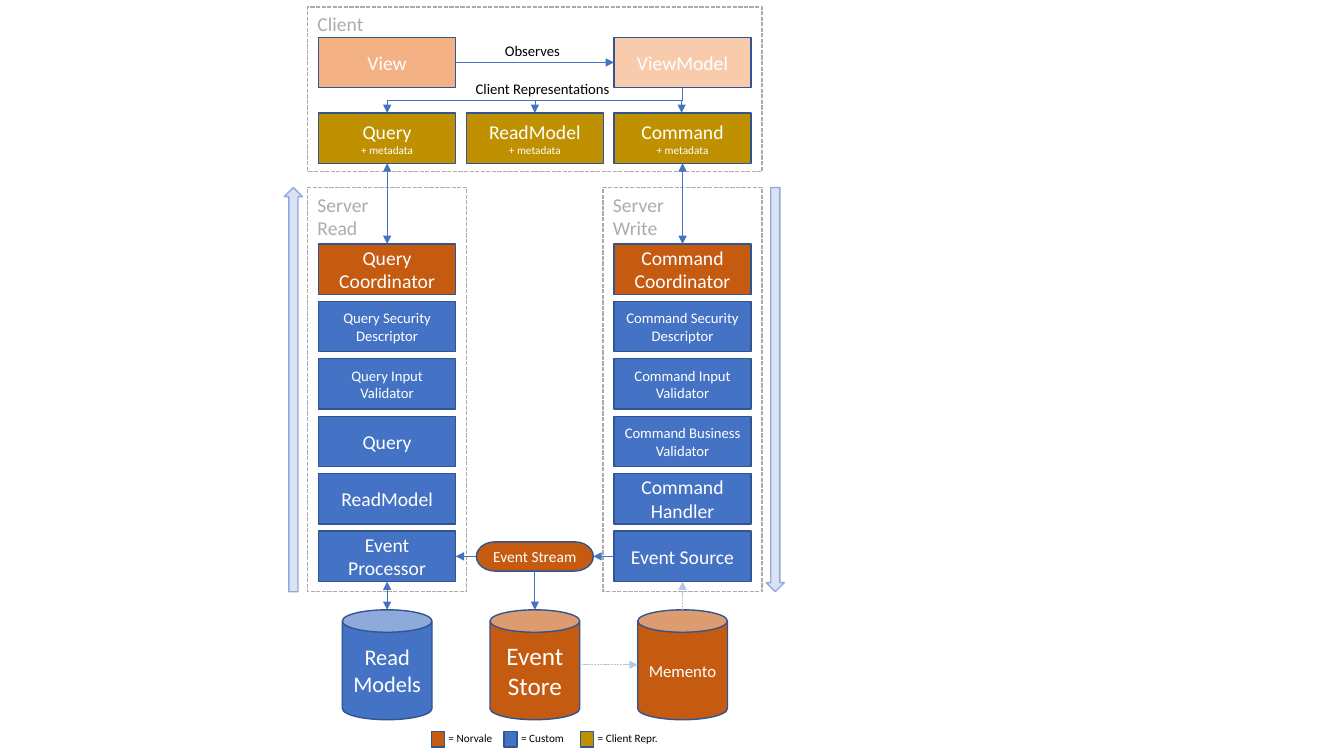
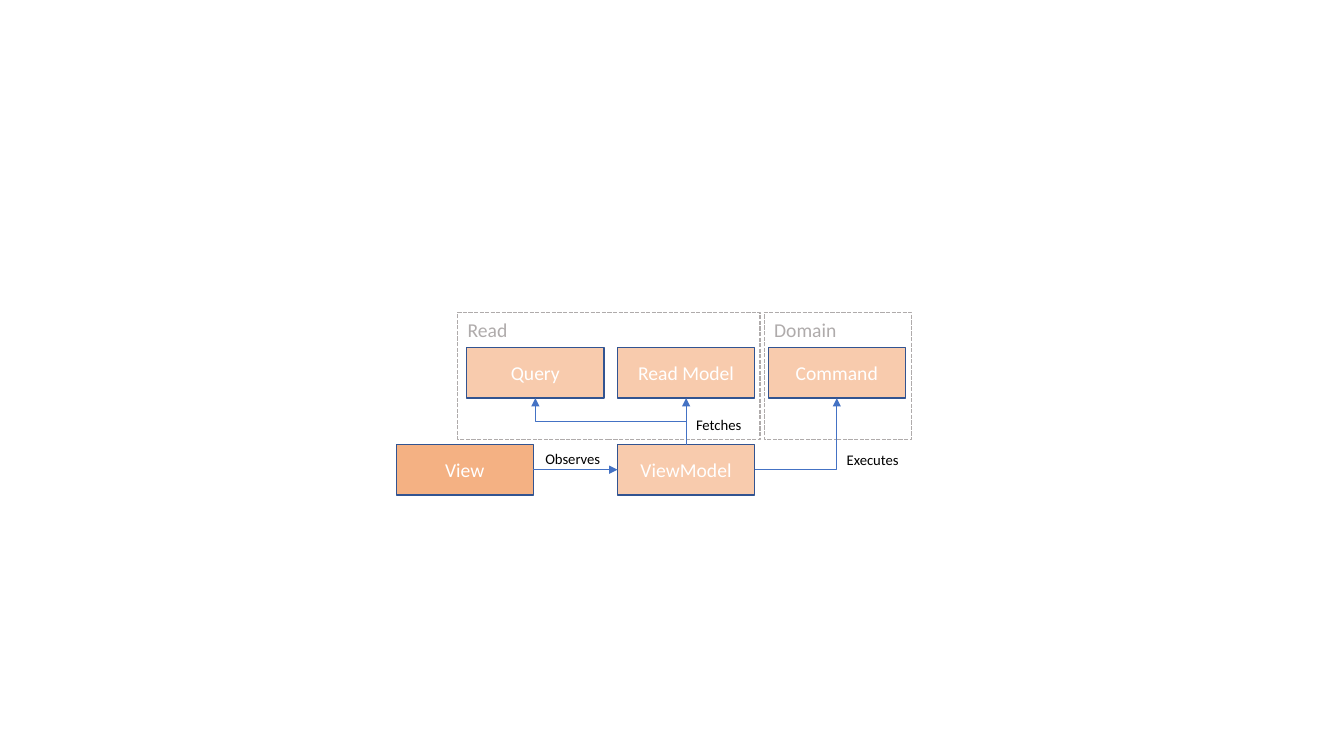
from lxml import etree
from pptx import Presentation
from pptx.dml.color import RGBColor
from pptx.enum.dml import MSO_LINE
from pptx.enum.shapes import MSO_CONNECTOR, MSO_SHAPE
from pptx.enum.text import MSO_ANCHOR, MSO_AUTO_SIZE, PP_ALIGN
from pptx.oxml.ns import qn
from pptx.util import Inches, Pt

RECT, CAN = MSO_SHAPE.RECTANGLE, MSO_SHAPE.CAN
PILL, DOWN_ARROW = MSO_SHAPE.FLOWCHART_TERMINATOR, MSO_SHAPE.DOWN_ARROW
STRAIGHT, ELBOW = MSO_CONNECTOR.STRAIGHT, MSO_CONNECTOR.ELBOW
DASH = MSO_LINE.SQUARE_DOT
LEFT, CENTER = PP_ALIGN.LEFT, PP_ALIGN.CENTER
TOP, MIDDLE = MSO_ANCHOR.TOP, MSO_ANCHOR.MIDDLE

FONT = "Calibri"
COLORS = {
    "white": "FFFFFF", "black": "000000", "frame": "AFABAB",
    "outline": "325491", "custom": "4472C4", "core": "C55A11",
    "client": "BF9000", "view": "F4B183", "model": "F8CBAD",
    "flow": "DAE3F3", "flow_edge": "8FAADC", "faint": "B4C7E7",
}
BOX_W, BOX_H = 1.36, 0.5
CAN_W, CAN_H, CAN_TOP = 0.89, 1.09, 6.05
SERVER_TOP, SERVER_H = 1.86, 4.01


def rgb(name):
    return RGBColor.from_string(COLORS[name])


def grid(start, span, index):
    return start + span * index


def write(sp, text, size, color, align=CENTER, anchor=MIDDLE, note_size=None):
    tf = sp.text_frame
    tf.text = text
    tf.vertical_anchor = anchor
    for i, p in enumerate(tf.paragraphs):
        p.alignment = align
        for r in p.runs:
            r.font.name = FONT
            r.font.size = Pt(note_size if i and note_size else size)
            r.font.color.rgb = rgb(color)


def shape(s, kind, x, y, w, h, fill=None, line="outline"):
    sp = s.shapes.add_shape(kind, Inches(x), Inches(y), Inches(w), Inches(h))
    sp.shadow.inherit = False
    if fill:
        sp.fill.solid()
        sp.fill.fore_color.rgb = rgb(fill)
    else:
        sp.fill.background()
    sp.line.color.rgb = rgb(line)
    sp.line.width = Pt(1)
    return sp


def box(s, x, y, text, fill, size=14, note_size=None):
    sp = shape(s, RECT, x, y, BOX_W, BOX_H, fill)
    write(sp, text, size, "white", note_size=note_size)


def frame(s, x, y, w, h, text):
    sp = shape(s, RECT, x, y, w, h, line="frame")
    sp.line.dash_style = DASH
    write(sp, text, 14, "frame", LEFT, TOP)


def label(s, x, y, w, text, size=10.5, h=0.28):
    sp = s.shapes.add_textbox(Inches(x), Inches(y), Inches(w), Inches(h))
    sp.text_frame.word_wrap = False
    sp.text_frame.auto_size = MSO_AUTO_SIZE.SHAPE_TO_FIT_TEXT
    write(sp, text, size, "black", LEFT, TOP)


def store(s, center, text, fill, size):
    sp = shape(s, CAN, center - CAN_W / 2, CAN_TOP, CAN_W, CAN_H, fill)
    write(sp, text, size, "white")


def arrow(s, x1, y1, x2, y2, kind=STRAIGHT, both=False, faint=False):
    c = s.shapes.add_connector(kind, Inches(x1), Inches(y1), Inches(x2), Inches(y2))
    c.line.color.rgb = rgb("faint" if faint else "custom")
    c.line.width = Pt(0.5)
    if faint:
        c.line.dash_style = DASH
    ln = c.line._get_or_add_ln()
    if both:
        etree.SubElement(ln, qn("a:headEnd")).set("type", "triangle")
    etree.SubElement(ln, qn("a:tailEnd")).set("type", "triangle")
    etree.SubElement(c._element.spPr, qn("a:effectLst"))
    return c


def vertical_elbow(s, x1, y1, x2, y2):
    cx, cy = (x1 + x2) / 2, (y1 + y2) / 2
    half_w, half_h = abs(y2 - y1) / 2, abs(x2 - x1) / 2
    if (x2 - x1) * (y2 - y1) > 0:
        half_h = -half_h
    c = arrow(s, cx - half_w, cy - half_h, cx + half_w, cy + half_h, ELBOW)
    angle = 90 if y2 > y1 else 270
    c._element.spPr.find(qn("a:xfrm")).set("rot", str(angle * 60000))


def corner_elbow(s, x1, y1, x2, y2):
    c = arrow(s, x1, y1, x2, y2, ELBOW)
    c._element.spPr.find(qn("a:prstGeom")).set("prst", "bentConnector2")


def legend(s, entries):
    for x, fill, text, w in entries:
        shape(s, RECT, x, 7.26, 0.13, 0.15, fill)
        label(s, x + 0.07, 7.21, w, text, 8, 0.24)


def architecture(s):
    cols = [grid(3.16, 2.93 / 2, i) for i in range(3)]
    read, stream, command = [x + BOX_W / 2 for x in cols]
    rows = [grid(2.42, 0.57, i) for i in range(6)]
    view_top, client_top = 0.37, 1.12
    view_mid, view_end = view_top + BOX_H / 2, view_top + BOX_H
    event_mid, event_end = rows[-1] + BOX_H / 2, rows[-1] + BOX_H

    frame(s, 3.05, 0.07, 4.51, 1.63, "Client")
    for x, name in zip(cols, ("Query", "ReadModel", "Command")):
        box(s, x, client_top, name + "\n+ metadata", "client", note_size=8)
    box(s, cols[0], view_top, "View", "view")
    box(s, cols[2], view_top, "ViewModel", "model")
    arrow(s, cols[0] + BOX_W, view_mid, cols[2], view_mid)
    label(s, 4.91, view_top, 0.78, "Observes")
    for x in (read, stream, command - 0.01):
        vertical_elbow(s, command, view_end, x, client_top)
    label(s, 4.62, 0.74, 1.56, "Client Representations")

    servers = (
        (cols[0], "Server\nRead", (
            ("Query Coordinator", "core", 14),
            ("Query Security Descriptor", "custom", 10.5),
            ("Query Input Validator", "custom", 10.5),
            ("Query", "custom", 14),
            ("ReadModel", "custom", 14),
            ("Event Processor", "custom", 14))),
        (cols[2], "Server\nWrite", (
            ("Command Coordinator", "core", 14),
            ("Command Security Descriptor", "custom", 10.5),
            ("Command Input Validator", "custom", 10.5),
            ("Command Business Validator", "custom", 10.5),
            ("Command Handler", "custom", 14),
            ("Event Source", "custom", 14))),
    )
    for x, title, steps in servers:
        frame(s, x - 0.11, SERVER_TOP, 1.58, SERVER_H, title)
        for y, (text, fill, size) in zip(rows, steps):
            box(s, x, y, text, fill, size)
        arrow(s, x + BOX_W / 2, client_top + BOX_H, x + BOX_W / 2, rows[0], both=True)
    for x, angle in ((2.82, 180), (7.6, 0)):
        sp = shape(s, DOWN_ARROW, x, SERVER_TOP, 0.18, SERVER_H, "flow", "flow_edge")
        sp.rotation = angle

    pill_w, pill_h = 1.16, 0.29
    pill_x = stream - pill_w / 2
    pill = shape(s, PILL, pill_x, event_mid - pill_h / 2, pill_w, pill_h, "core")
    write(pill, "Event Stream", 11, "white")
    store(s, read, "Read Models", "custom", 16)
    store(s, stream, "Event Store", "core", 18)
    store(s, command, "Memento", "core", 12)
    arrow(s, cols[2], event_mid, pill_x + pill_w, event_mid)
    arrow(s, pill_x, event_mid, cols[0] + BOX_W, event_mid)
    arrow(s, stream, event_mid + pill_h / 2, stream, CAN_TOP)
    arrow(s, read, event_end, read, CAN_TOP, both=True)
    can_mid = CAN_TOP + CAN_H / 2
    arrow(s, stream + CAN_W / 2, can_mid, command - CAN_W / 2, can_mid, faint=True)
    arrow(s, command, CAN_TOP, command, event_end, faint=True)

    legend(s, ((4.28, "core", "= Norvale", 0.7),
               (5, "custom", "= Custom", 0.63),
               (5.76, "client", "= Client Repr.", 0.82)))


def view_model(s):
    cols = [grid(4.63, 2.99 / 2, i) for i in range(3)]
    query, model, command = [x + BOX_W / 2 for x in cols]
    top, bottom, view_x = 3.45, 4.41, 3.93
    top_end, bottom_mid = top + BOX_H, bottom + BOX_H / 2

    for x, text in zip(cols, ("Query", "Read Model", "Command")):
        box(s, x, top, text, "model")
    box(s, view_x, bottom, "View", "view")
    box(s, cols[1], bottom, "ViewModel", "model")
    frame(s, 4.54, 3.1, 3, 1.26, "Read")
    frame(s, 7.58, 3.1, 1.46, 1.26, "Domain")
    arrow(s, view_x + BOX_W, bottom_mid, cols[1], bottom_mid)
    arrow(s, model, bottom, model, top_end)
    vertical_elbow(s, model, bottom, query, top_end)
    corner_elbow(s, cols[1] + BOX_W, bottom_mid, command, top_end)
    label(s, 5.31, bottom, 0.78, "Observes")
    label(s, model, 4.08, 0.66, "Fetches")
    label(s, command, 4.42, 0.73, "Executes")


def main():
    prs = Presentation()
    prs.slide_width, prs.slide_height = Inches(13.33), Inches(7.5)
    blank = prs.slide_layouts[6]
    for build in (architecture, view_model):
        build(prs.slides.add_slide(blank))
    prs.save("out.pptx")


main()
